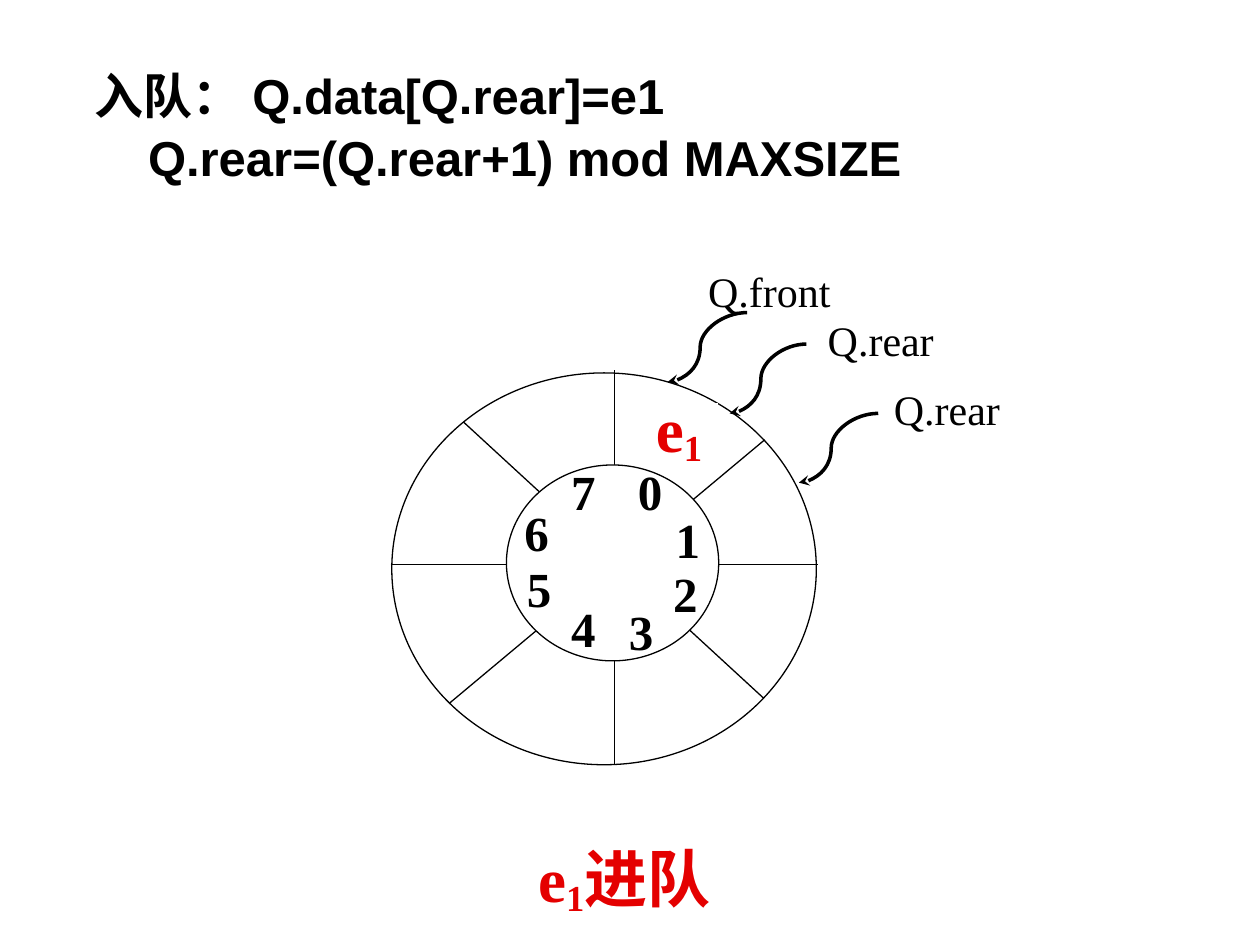
from dataclasses import dataclass

from lxml.etree import SubElement
from pptx import Presentation
from pptx.dml.color import RGBColor
from pptx.enum.shapes import MSO_CONNECTOR, MSO_SHAPE
from pptx.enum.text import MSO_ANCHOR, MSO_AUTO_SIZE, PP_ALIGN
from pptx.oxml.ns import qn
from pptx.util import Pt


@dataclass(frozen=True)
class Theme:
    """Colours, fonts, type sizes and line widths of the slide."""
    ink: RGBColor = RGBColor(0, 0, 0)
    paper: RGBColor = RGBColor(255, 255, 255)
    accent: RGBColor = RGBColor(0xE4, 0, 0)
    serif: str = "Times New Roman"
    sans: str = "Arial"
    cjk: str = "Lato"
    element: int = 36
    code: int = 28
    label: int = 24
    thin: float = 0.75
    thick: float = 2


THEME = Theme()
CODE = {"size": Pt(THEME.code), "bold": True, "name": THEME.sans}
CODE_CJK = {**CODE, "name": THEME.cjk}
INDEX = {**CODE, "name": THEME.serif}
LABEL = {"size": Pt(THEME.label), "bold": False, "name": THEME.serif}
ELEMENT = {"size": Pt(THEME.element), "bold": True, "name": THEME.serif}
TIGHT = {"margin_left": 0, "margin_right": 0, "word_wrap": True}


def assign(target, values):
    """Set every attribute in values on target."""
    for name, value in values.items():
        setattr(target, name, value)


def add_run(paragraph, text, style, color=THEME.ink, baseline=0):
    """Append a formatted run, lowered by a negative baseline percentage."""
    run = paragraph.add_run()
    run.text = text
    assign(run.font, style)
    run.font.color.rgb = color
    if baseline:
        run.font._element.set("baseline", str(baseline * 1000))


def space(paragraph, size, share=0.2, alignment=PP_ALIGN.CENTER):
    """Set alignment, line spacing and the gap above a paragraph."""
    assign(paragraph, {"alignment": alignment, "line_spacing": 0.9,
                       "space_before": Pt(round(size * share, 1))})


def add_element(paragraph):
    """Write the queue element e with its index."""
    space(paragraph, THEME.element)
    add_run(paragraph, "e", ELEMENT, THEME.accent)
    add_run(paragraph, "1", ELEMENT, THEME.accent, baseline=-14)


def add_panel(slide, preset, left, top, width, height, outlined=False):
    """Add a white shape and return its first paragraph."""
    panel = slide.shapes.add_shape(preset, Pt(left), Pt(top), Pt(width), Pt(height))
    panel.shadow.inherit = False
    panel.fill.solid()
    panel.fill.fore_color.rgb = THEME.paper
    if outlined:
        panel.line.color.rgb = THEME.ink
        panel.line.width = Pt(THEME.thin)
    else:
        panel.line.fill.background()
    assign(panel.text_frame, {"word_wrap": False, "vertical_anchor": MSO_ANCHOR.MIDDLE})
    return panel.text_frame.paragraphs[0]


def add_line(slide, kind, start, end, width):
    """Add a black connector without shadow."""
    line = slide.shapes.add_connector(kind, *map(Pt, (*start, *end)))
    line.line.color.rgb = THEME.ink
    line.line.width = Pt(width)
    SubElement(line._element.spPr, qn("a:effectLst"))
    return line


def add_heading(slide, left, top, width, height):
    """Place the enqueue statements in the title."""
    title = slide.shapes.title
    assign(title, {"left": Pt(left), "top": Pt(top), "width": Pt(width), "height": Pt(height)})
    frame = title.text_frame
    assign(frame, {**TIGHT, "vertical_anchor": MSO_ANCHOR.TOP, "auto_size": MSO_AUTO_SIZE.NONE})
    write, advance = frame.paragraphs[0], frame.add_paragraph()
    for statement in (write, advance):
        space(statement, THEME.code, alignment=PP_ALIGN.LEFT)
    add_run(write, "入队： ", CODE_CJK)
    add_run(write, "Q.data[Q.rear]=e1", CODE)
    add_run(advance, "Q.rear=(Q.rear+1) mod MAXSIZE", CODE)
    advance._p.get_or_add_pPr().set("marL", str(Pt(30.6)))


def add_ring(slide, left, top, width, height):
    """Draw the circular queue with its eight numbered cells."""
    add_panel(slide, MSO_SHAPE.OVAL, left, top, width, height, outlined=True)
    spokes = [((-0.7, 109.4), (243.4, 109.4)), ((127.4, -1.4), (127.4, height)),
              ((213.1, 38.2), (33.1, 188.6)), ((41, 28.1), (212.4, 185.8))]
    for spoke in spokes:
        start, end = ((left + x, top + y) for x, y in spoke)
        add_line(slide, MSO_CONNECTOR.STRAIGHT, start, end, THEME.thin)
    add_panel(slide, MSO_SHAPE.OVAL, left + 65.5, top + 52.6,
              width / 2, height / 2, outlined=True)
    index_places = [(139, 60.5), (160.6, 87.8), (159.1, 118.8), (133.9, 140.4),
                    (100.8, 139), (75.6, 115.9), (74.2, 84.2), (100.8, 60.5)]
    for index, (x, y) in enumerate(index_places):
        digit = add_panel(slide, MSO_SHAPE.RECTANGLE, left + x, top + y, 17.3, 18)
        space(digit, THEME.code)
        add_run(digit, str(index), INDEX)
    add_element(add_panel(slide, MSO_SHAPE.RECTANGLE, left + 141.8, top + 17.3, 44.6, 31.7))


def add_pointer(slide, left, top, width, height, name, label_x, label_y, label_width):
    """Draw a curved arrow across its box, with the pointer name beside it."""
    arrow = add_line(slide, MSO_CONNECTOR.CURVE, (left + width, top),
                     (left, top + height), THEME.thick)
    SubElement(arrow.line._get_or_add_ln(), qn("a:tailEnd"), type="stealth")
    geometry = arrow._element.spPr.find(qn("a:prstGeom"))
    SubElement(geometry.find(qn("a:avLst")), qn("a:gd"), name="adj1", fmla="val 59200")
    label = slide.shapes.add_textbox(Pt(left + label_x), Pt(top + label_y),
                                     Pt(label_width), Pt(33.1))
    assign(label.text_frame, {**TIGHT, "auto_size": MSO_AUTO_SIZE.SHAPE_TO_FIT_TEXT})
    paragraph = label.text_frame.paragraphs[0]
    space(paragraph, THEME.label, share=0.5)
    add_run(paragraph, name, LABEL)


def add_caption(slide, left, top, width, height):
    """Name the operation below the ring."""
    caption = slide.shapes.add_textbox(Pt(left), Pt(top), Pt(width), Pt(height))
    assign(caption.text_frame, {"word_wrap": True, "auto_size": MSO_AUTO_SIZE.SHAPE_TO_FIT_TEXT})
    paragraph = caption.text_frame.paragraphs[0]
    add_element(paragraph)
    add_run(paragraph, "进队", ELEMENT, THEME.accent)


def main():
    """Build and save the slide."""
    deck = Presentation()
    assign(deck, {"slide_width": Pt(720), "slide_height": Pt(540)})
    slide = deck.slides.add_slide(deck.slide_layouts[5])
    add_heading(slide, 54, 37.4, 646.6, 73.4)
    add_ring(slide, 223.9, 213.1, 242.6, 223.9)
    add_pointer(slide, 381.6, 178.6, 45.4, 39.6, "Q.front", 13, -27.4, 90)
    add_pointer(slide, 416.9, 196.6, 43.9, 39.6, "Q.rear", 43.2, -17.3, 86.4)
    add_pointer(slide, 456.5, 236.2, 45.4, 39.6, "Q.rear", 39.6, -17.3, 90)
    add_caption(slide, 234.7, 479.5, 244.1, 46.1)
    deck.save("out.pptx")


if __name__ == "__main__":
    main()
